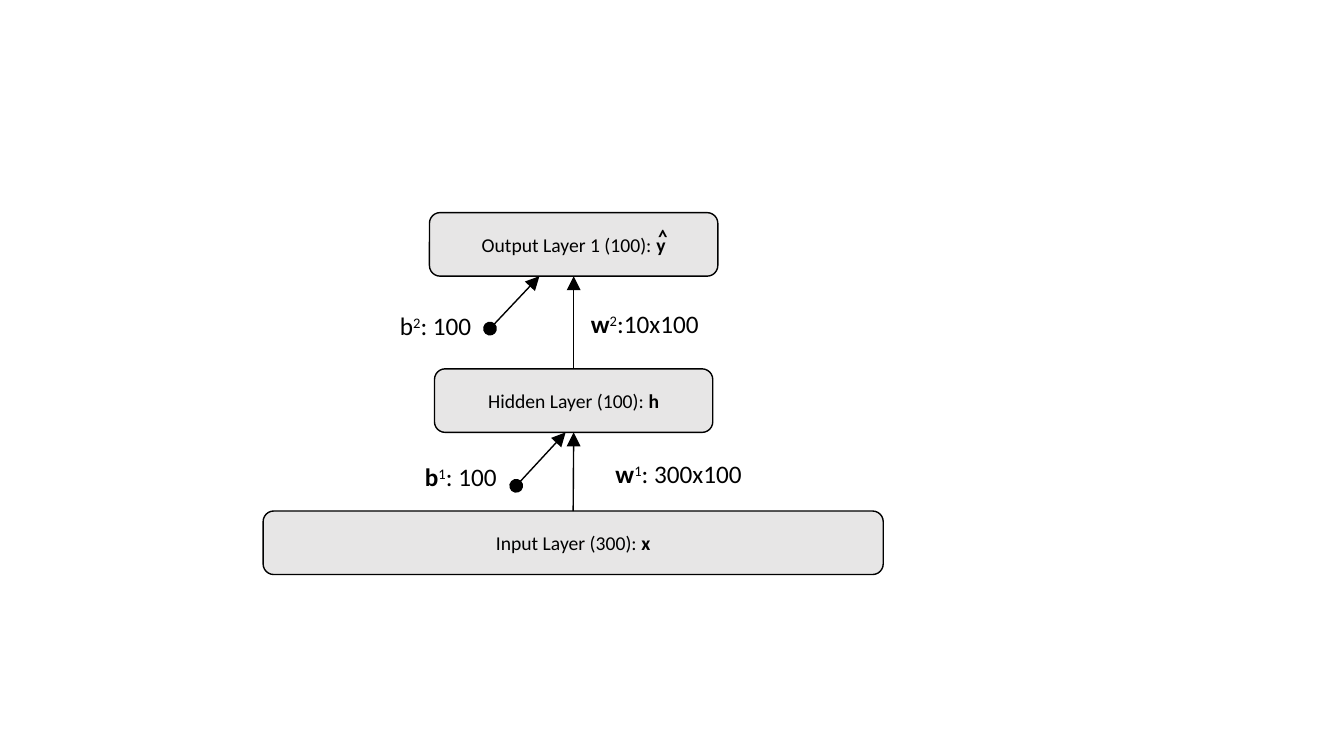
from lxml.etree import SubElement
from pptx import Presentation
from pptx.dml.color import RGBColor
from pptx.enum.shapes import MSO_CONNECTOR, MSO_SHAPE
from pptx.enum.text import MSO_ANCHOR, MSO_AUTO_SIZE, PP_ALIGN
from pptx.oxml.ns import qn
from pptx.util import Emu, Pt

BLACK = RGBColor(0x00, 0x00, 0x00)
LIGHT_GRAY = RGBColor(0xE7, 0xE6, 0xE6)
EMU_PER_PX = 9144
TOP, BOTTOM = 0, 2


def px(*lengths):
    return [Emu(length * EMU_PER_PX) for length in lengths]


class NetworkDiagram:
    font = "Calibri"
    layer_size = Pt(14)
    label_size = Pt(18)
    line_width = Pt(1)
    layer_height = 63

    def __init__(self, slide):
        self.shapes = slide.shapes

    def set_text(self, frame, pieces, size):
        frame.word_wrap = True
        frame.vertical_anchor = MSO_ANCHOR.MIDDLE
        paragraph = frame.paragraphs[0]
        paragraph.alignment = PP_ALIGN.CENTER
        for text, bold, raised in pieces:
            run = paragraph.add_run()
            run.text = text
            run.font.name = self.font
            run.font.size = size
            run.font.bold = bold
            run.font.color.rgb = BLACK
            if raised:
                run._r.get_or_add_rPr().set("baseline", "30000")

    def layer(self, left, top, width, title, symbol):
        box = self.shapes.add_shape(
            MSO_SHAPE.ROUNDED_RECTANGLE, *px(left, top, width, self.layer_height))
        box.shadow.inherit = False
        box.fill.solid()
        box.fill.fore_color.rgb = LIGHT_GRAY
        box.line.color.rgb = BLACK
        box.line.width = self.line_width
        pieces = [(f"{title}: ", False, False), (symbol, True, False)]
        self.set_text(box.text_frame, pieces, self.layer_size)
        return box

    def label(self, left, top, width, height, symbol, index, size, bold=True):
        box = self.shapes.add_textbox(*px(left, top, width, height))
        pieces = [(symbol, bold, False), (index, False, True), (size, False, False)]
        self.set_text(box.text_frame, pieces, self.label_size)

    def hat(self, left, top, width, height):
        box = self.shapes.add_textbox(*px(left, top, width, height))
        box.rotation = 90
        self.set_text(box.text_frame, [("<", True, False)], self.layer_size)
        box.text_frame.vertical_anchor = MSO_ANCHOR.TOP
        box.text_frame.auto_size = MSO_AUTO_SIZE.SHAPE_TO_FIT_TEXT
        box.text_frame.paragraphs[0].alignment = PP_ALIGN.LEFT

    def arrow(self, start, end, dotted_start=False):
        link = self.shapes.add_connector(MSO_CONNECTOR.STRAIGHT, *px(*start, *end))
        link.line.color.rgb = BLACK
        link.line.width = self.line_width
        outline = link.line._get_or_add_ln()
        ends = [("a:headEnd", "oval")] if dotted_start else []
        for tag, kind in ends + [("a:tailEnd", "triangle")]:
            SubElement(outline, qn(tag), type=kind, w="lg", len="lg")
        SubElement(link._element.spPr, qn("a:effectLst"))
        return link

    def weights(self, lower, upper):
        link = self.arrow((0, 0), (0, 0))
        link.begin_connect(lower, TOP)
        link.end_connect(upper, BOTTOM)

    def bias(self, start, end):
        self.arrow(start, end, dotted_start=True)


def main():
    presentation = Presentation()
    presentation.slide_width, presentation.slide_height = px(1333, 750)
    slide = presentation.slides.add_slide(presentation.slide_layouts[6])
    diagram = NetworkDiagram(slide)

    input_layer = diagram.layer(261, 507, 615, "Input Layer (300)", "x")
    hidden_layer = diagram.layer(431, 366, 276, "Hidden Layer (100)", "h")
    output_layer = diagram.layer(426, 211, 286, "Output Layer 1 (100)", "y")

    diagram.weights(input_layer, hidden_layer)
    diagram.label(569, 420, 208, 100, "w", "1", ": 300x100")
    diagram.bias((512, 482), (561, 429))
    diagram.label(353, 423, 208, 100, "b", "1", ": 100")

    diagram.label(328, 273, 208, 100, "b", "2", ": 100", bold=False)
    diagram.bias((486, 326), (535, 274))
    diagram.weights(hidden_layer, output_layer)
    diagram.label(572, 304, 135, 34, "w", "2", ":10x100")
    diagram.hat(627, 232, 63, 34)

    presentation.save("out.pptx")


if __name__ == "__main__":
    main()
